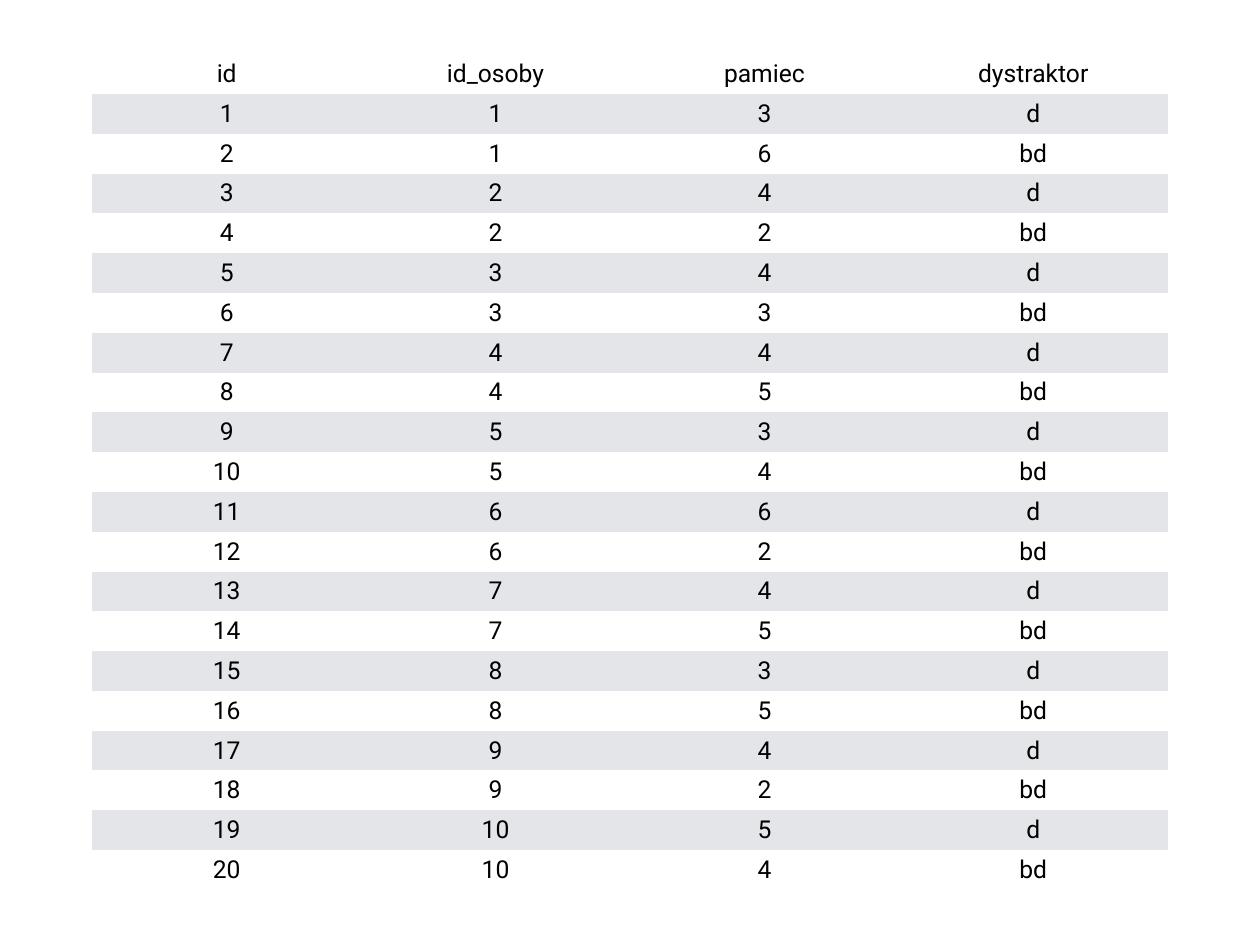
"""Build a slide with a table of memory scores with and without a distractor."""
from pptx import Presentation
from pptx.dml.color import RGBColor
from pptx.enum.text import MSO_ANCHOR, PP_ALIGN
from pptx.oxml.ns import qn
from pptx.util import Pt

HEADINGS = ("id", "id_osoby", "pamiec", "dystraktor")
MEMORY_SCORES = (3, 6, 4, 2, 4, 3, 4, 5, 3, 4, 6, 2, 4, 5, 3, 5, 4, 2, 5, 4)
CONDITIONS = ("d", "bd")

SLIDE_WIDTH, SLIDE_HEIGHT = 1024, 768
TABLE_LEFT, TABLE_TOP, TABLE_WIDTH = 75, 44, 874
ROW_HEIGHT = 32.36
CELL_MARGIN = 4
FONT_NAME, FONT_SIZE = "Roboto", 20
TEXT_COLOR = "000000"
ROW_COLORS = ("FFFFFF", "E3E5E8")
NO_STYLE_NO_GRID = "{2D5ABB26-0587-4C30-8999-92F81FD0307C}"


def set_color(color_format, hex_color):
    """Apply a hex colour to a fill or font colour."""
    color_format.rgb = RGBColor.from_string(hex_color)


def measurement_rows():
    """Number the scores, giving each person one row per condition."""
    return [
        (index + 1, index // len(CONDITIONS) + 1, score, CONDITIONS[index % len(CONDITIONS)])
        for index, score in enumerate(MEMORY_SCORES)
    ]


def fill_cell(cell, value, fill_color):
    """Write one centred value on a plain fill."""
    cell.fill.solid()
    set_color(cell.fill.fore_color, fill_color)
    cell.margin_left = cell.margin_right = Pt(CELL_MARGIN)
    cell.margin_top = cell.margin_bottom = Pt(CELL_MARGIN)
    cell.vertical_anchor = MSO_ANCHOR.MIDDLE
    paragraph = cell.text_frame.paragraphs[0]
    paragraph.alignment = PP_ALIGN.CENTER
    run = paragraph.add_run()
    run.text = str(value)
    run.font.name = FONT_NAME
    run.font.size = Pt(FONT_SIZE)
    set_color(run.font.color, TEXT_COLOR)


def add_score_table(slide, rows):
    """Add the borderless table with alternating row fills."""
    shape = slide.shapes.add_table(
        len(rows), len(HEADINGS), Pt(TABLE_LEFT), Pt(TABLE_TOP),
        Pt(TABLE_WIDTH), Pt(ROW_HEIGHT * len(rows)),
    )
    table = shape.table
    table.first_row = table.horz_banding = False
    for style in shape.element.iter(qn("a:tableStyleId")):
        style.text = NO_STYLE_NO_GRID
    for row_index, values in enumerate(rows):
        table.rows[row_index].height = Pt(ROW_HEIGHT)
        for column_index, value in enumerate(values):
            fill_cell(table.cell(row_index, column_index), value, ROW_COLORS[row_index % 2])


presentation = Presentation()
presentation.slide_width = Pt(SLIDE_WIDTH)
presentation.slide_height = Pt(SLIDE_HEIGHT)
slide = presentation.slides.add_slide(presentation.slide_layouts.get_by_name("Blank"))
add_score_table(slide, [HEADINGS, *measurement_rows()])
presentation.save("out.pptx")
